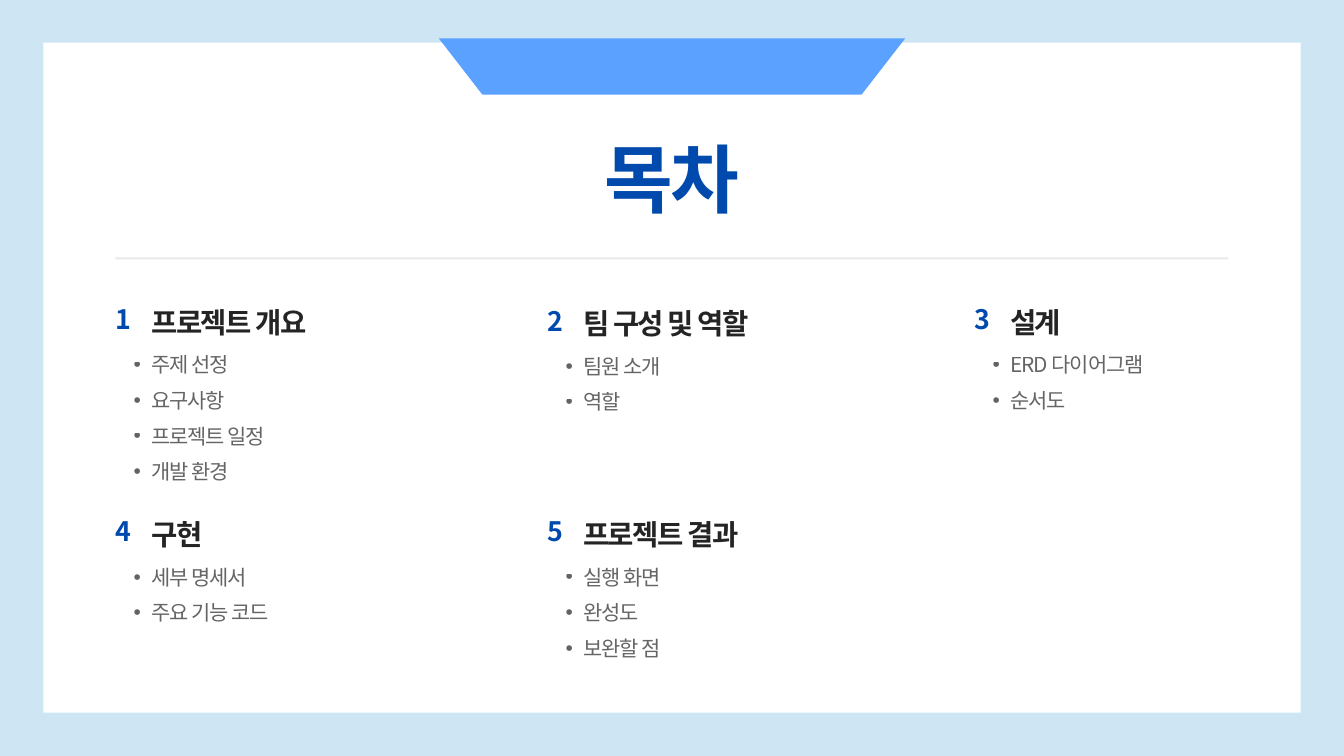
from dataclasses import dataclass

from lxml.etree import SubElement
from pptx import Presentation
from pptx.dml.color import RGBColor
from pptx.enum.shapes import MSO_CONNECTOR as Conn, MSO_SHAPE as Kind
from pptx.enum.text import MSO_ANCHOR as Anchor, MSO_AUTO_SIZE as Auto, PP_ALIGN as Align
from pptx.oxml.ns import qn
from pptx.util import Pt

PX = 9525
FACE = "Noto Sans CJK SC"
NAVY, INK = "004AAD", "242424"


@dataclass(frozen=True)
class Style:
    size: float
    color: str
    lead: float
    track: int
    bold: bool = False
    alpha: int = 100
    bullet: bool = False
    align: Align = Align.LEFT


@dataclass(frozen=True)
class Topic:
    num: int
    head: str
    items: tuple[str, ...]
    left: int
    top: int


TITLE = Style(80, NAVY, 88, -320, bold=True, align=Align.CENTER)
NUM = Style(28.7, NAVY, 40.1, -140, bold=True)
HEAD = Style(30.6, INK, 42.9, -150, bold=True)
ITEM = Style(22.4, INK, 38.1, -110, alpha=70, bullet=True)

COLS = (165, 782, 1392)
TOPICS = (
    Topic(1, "프로젝트 개요", ("주제 선정", "요구사항", "프로젝트 일정", "개발 환경"), COLS[0], 425),
    Topic(4, "구현", ("세부 명세서", "주요 기능 코드"), COLS[0], 728),
    Topic(2, "팀 구성 및 역할", ("팀원 소개", "역할"), COLS[1], 427),
    Topic(5, "프로젝트 결과", ("실행 화면", "완성도", "보완할 점"), COLS[1], 728),
    Topic(3, "설계", ("ERD 다이어그램", "순서도"), COLS[2], 425),
)


def apply(obj, values: dict) -> None:
    for key, value in values.items():
        setattr(obj, key, value)


def paint(fill, color: str, alpha: int = 100) -> None:
    fill.solid()
    fill.fore_color.rgb = RGBColor.from_string(color)
    if alpha < 100:
        node = fill._xPr.find(qn("a:solidFill"))[0]
        SubElement(node, qn("a:alpha"), val=str(alpha * 1000))


def flat(shape, color: str) -> None:
    shape.shadow.inherit = False
    paint(shape.fill, color)
    shape.line.fill.background()


def write(shape, lines: tuple[str, ...], style: Style) -> None:
    frame = shape.text_frame
    apply(frame, dict(margin_left=0, margin_top=0, margin_right=0, margin_bottom=0,
                      word_wrap=True, auto_size=Auto.SHAPE_TO_FIT_TEXT,
                      vertical_anchor=Anchor.TOP))
    for i, line in enumerate(lines):
        para = frame.add_paragraph() if i else frame.paragraphs[0]
        if style.bullet:
            props = para._p.get_or_add_pPr()
            props.set("marL", str(51 * PX))
            props.set("indent", str(-25 * PX))
            SubElement(props, qn("a:buFont"), typeface="Arial")
            SubElement(props, qn("a:buChar"), char="•")
        apply(para, dict(level=int(style.bullet), alignment=style.align,
                         line_spacing=Pt(style.lead), space_before=Pt(0)))
        run = para.add_run()
        run.text = line
        apply(run.font, dict(size=Pt(style.size), bold=style.bold, name=FACE))
        paint(run.font.fill, style.color, style.alpha)
        props = run._r.get_or_add_rPr()
        props.set("spc", str(style.track))
        SubElement(props, qn("a:ea"), typeface=FACE)


def label(slide, box: tuple[int, ...], lines: tuple[str, ...], style: Style) -> None:
    write(slide.shapes.add_textbox(*(v * PX for v in box)), lines, style)


def entry(slide, topic: Topic) -> None:
    x, y = topic.left, topic.top
    label(slide, (x, y, 38, 50), (str(topic.num),), NUM)
    label(slide, (x + 51, y + 2, 312, 54), (topic.head,), HEAD)
    label(slide, (x, y + 63, 363, 50 * len(topic.items) - 7), topic.items, ITEM)


def main() -> None:
    deck = Presentation()
    apply(deck, dict(slide_width=1920 * PX, slide_height=1080 * PX))
    slide = deck.slides.add_slide(deck.slide_layouts[5])
    shapes = slide.shapes
    paint(slide.background.fill, "CEE6F4")

    card = shapes.add_shape(Kind.RECTANGLE, *(v * PX for v in (62, 61, 1796, 957)))
    flat(card, "FFFFFF")

    path = shapes.build_freeform(689, 135, scale=PX)
    path.add_line_segments([(1231, 135), (1293, 55), (627, 55)], close=True)
    flat(path.convert_to_shape(), "5BA1FF")

    rule = shapes.add_connector(Conn.STRAIGHT, *(v * PX for v in (165, 369, 1755, 369)))
    rule.line.width = Pt(2.25)
    paint(rule.line.fill, INK, 10)
    SubElement(rule._element.spPr, qn("a:effectLst"))

    for topic in TOPICS:
        entry(slide, topic)

    title = shapes.title
    apply(title, dict(left=577 * PX, top=201 * PX, width=766 * PX, height=121 * PX))
    write(title, ("목차",), TITLE)
    shapes._spTree.append(title._element)

    deck.save("out.pptx")


if __name__ == "__main__":
    main()
